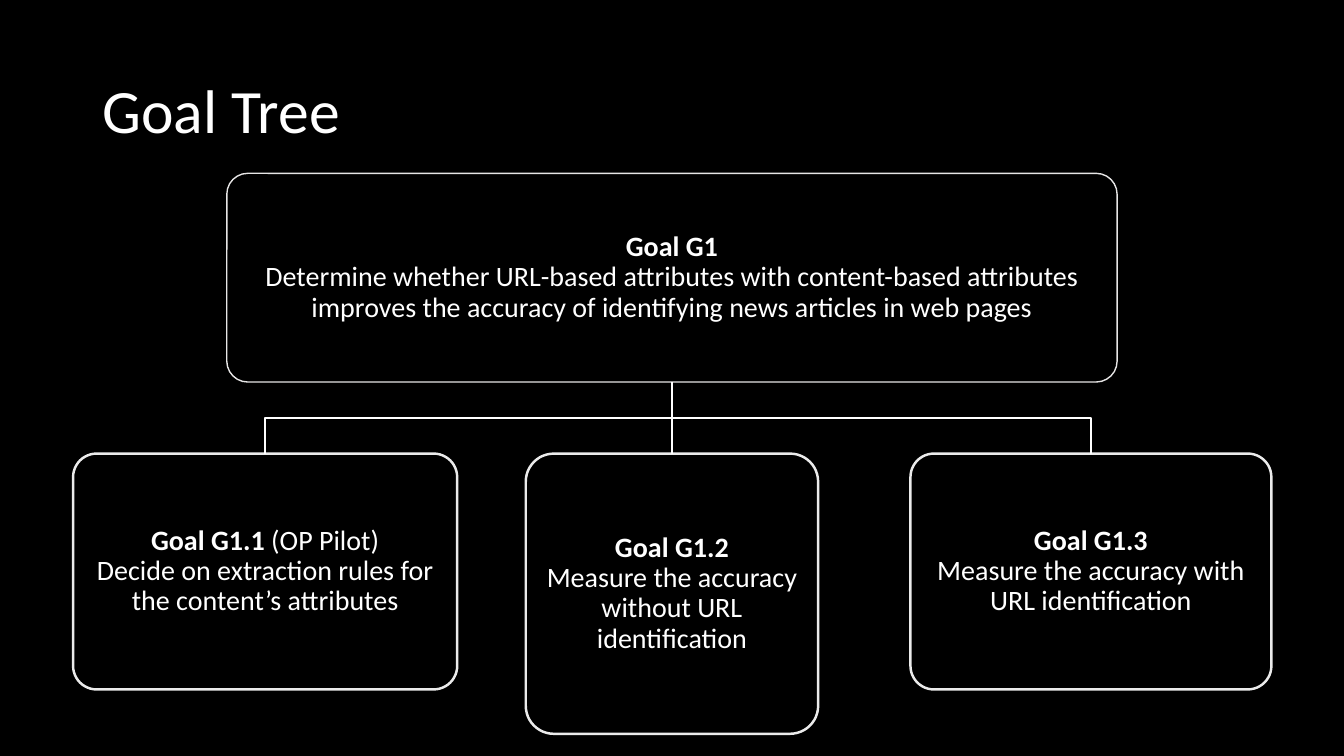
from lxml import etree
from pptx import Presentation
from pptx import util as u
from pptx.dml.color import RGBColor
from pptx.enum import shapes, text
from pptx.oxml.ns import qn

# Content: (bold label, rest of the heading line, statement)
TITLE = "Goal Tree"
ROOT = ("Goal G1", "", "Determine whether URL-based attributes with content-based attributes "
        "improves the accuracy of identifying news articles in web pages")
SUBGOALS = [
    ("Goal G1.1", " (OP Pilot)", "Decide on extraction rules for the content’s attributes"),
    ("Goal G1.2", "", "Measure the accuracy without URL identification"),
    ("Goal G1.3", "", "Measure the accuracy with URL identification"),
]

# Layout in inches: (centre, width, height) of each subgoal
W, H = 13.33, 7.5
MID = W / 2
ROOT_TOP, ROOT_W, ROOT_H = 1.72, 8.83, 2.07
ROOT_BOTTOM = ROOT_TOP + ROOT_H
SUB_TOP = 4.5
BRANCH_Y = (ROOT_BOTTOM + SUB_TOP) / 2
SUB_SIZES = [(2.63, 3.81, 2.34), (MID, 2.9, 2.78), (10.82, 3.58, 2.34)]
FONT, BLACK, WHITE = "Calibri", "000000", "FFFFFF"
LINE_W = 1.75


def rgb(value):
    return RGBColor.from_string(value)


def style_line(sp, color, width):
    sp.line.color.rgb = rgb(color)
    sp.line.width = u.Pt(width)


def style_paragraph(p, size):
    p.line_spacing = 0.9
    p.font.name, p.font.size, p.font.color.rgb = FONT, u.Pt(size), rgb(WHITE)


def goal_box(goal, centre, top, width, height, line, line_width, inset):
    sp = s.shapes.add_shape(shapes.MSO_SHAPE.ROUNDED_RECTANGLE, u.Inches(centre - width / 2),
                            u.Inches(top), u.Inches(width), u.Inches(height))
    sp.adjustments[0] = 0.1
    sp.shadow.inherit = False
    sp.fill.solid()
    sp.fill.fore_color.rgb = rgb(BLACK)
    style_line(sp, line, line_width)
    tf = sp.text_frame
    tf.word_wrap = True
    tf.vertical_anchor = text.MSO_ANCHOR.MIDDLE
    tf.margin_left = tf.margin_right = tf.margin_top = tf.margin_bottom = u.Inches(inset)
    p = tf.paragraphs[0]
    p.alignment = text.PP_ALIGN.CENTER
    style_paragraph(p, 20)
    label, suffix, statement = goal
    r = p.add_run()
    r.text, r.font.bold = label, True
    if suffix:
        p.add_run().text = suffix
    p.add_line_break()
    p.add_run().text = statement
    return sp


def straight_branch(parent, child):
    c = s.shapes.add_connector(shapes.MSO_CONNECTOR.STRAIGHT, 0, 0, 0, 0)
    c.begin_connect(parent, 2)
    c.end_connect(child, 0)
    style_line(c, WHITE, LINE_W)
    etree.SubElement(c._element.spPr, qn("a:effectLst"))


def bent_branch(centre):
    builder = s.shapes.build_freeform(u.Inches(MID), u.Inches(ROOT_BOTTOM))
    corners = [(MID, BRANCH_Y), (centre, BRANCH_Y), (centre, SUB_TOP)]
    builder.add_line_segments([(u.Inches(x), u.Inches(y)) for x, y in corners], close=False)
    sp = builder.convert_to_shape()
    sp.shadow.inherit = False
    sp.fill.background()
    style_line(sp, WHITE, LINE_W)


prs = Presentation()
prs.slide_width, prs.slide_height = u.Inches(W), u.Inches(H)
s = prs.slides.add_slide(prs.slide_layouts[6])
s.background.fill.solid()
s.background.fill.fore_color.rgb = rgb(BLACK)

# Title
title = s.shapes.add_textbox(u.Inches(0.92), u.Inches(0.4), u.Inches(11.5), u.Inches(1.45))
title.text_frame.word_wrap = True
title.text_frame.vertical_anchor = text.MSO_ANCHOR.MIDDLE
title.text_frame.text = TITLE
style_paragraph(title.text_frame.paragraphs[0], 44)

# Tree
root = goal_box(ROOT, MID, ROOT_TOP, ROOT_W, ROOT_H, "E7E6E6", 1, 0.08)
for goal, (centre, width, height) in zip(SUBGOALS, SUB_SIZES):
    box = goal_box(goal, centre, SUB_TOP, width, height, "EBEBEB", LINE_W, 0.05)
    if centre == MID:
        straight_branch(root, box)
    else:
        bent_branch(centre)

prs.save("out.pptx")
